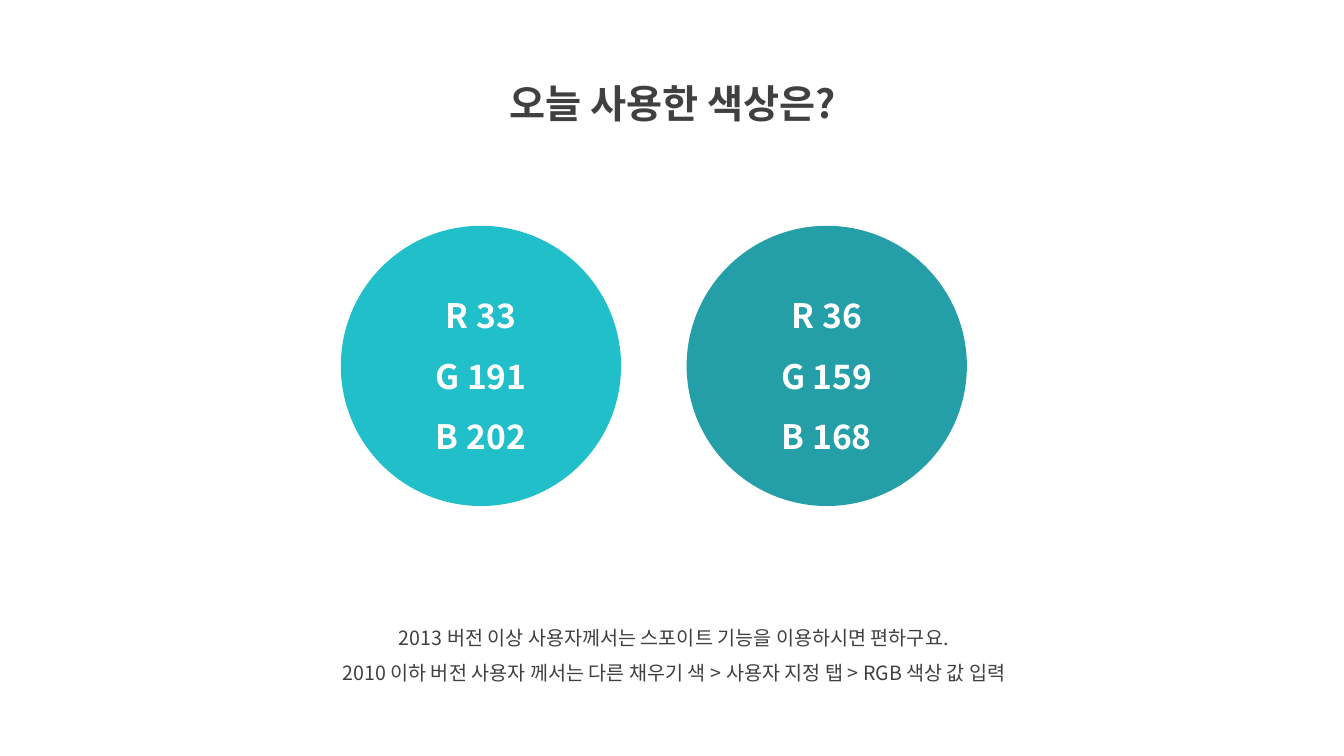
from dataclasses import dataclass

from lxml import etree
from pptx import Presentation
from pptx.dml.color import RGBColor
from pptx.enum import shapes, text
from pptx.oxml.ns import qn
from pptx.util import Inches, Pt


@dataclass(frozen=True)
class Theme:
    font: str = "Noto Sans CJK KR"
    ink: RGBColor = RGBColor(64, 64, 64)
    white: RGBColor = RGBColor(255, 255, 255)
    swatches: tuple = (RGBColor(33, 191, 202), RGBColor(36, 159, 168))
    title: int = 28
    value: int = 24
    note: int = 14
    spacing: float = 1.5


THEME = Theme()
TITLE = "오늘 사용한 색상은?"
NOTES = (
    "2013 버전 이상 사용자께서는 스포이트 기능을 이용하시면 편하구요.",
    "2010 이하 버전 사용자 께서는 다른 채우기 색 > 사용자 지정 탭 > RGB 색상 값 입력",
)


def write_lines(tf, lines, size, color, bold=False):
    """Fill a text frame with centred lines, one paragraph each."""
    tf.word_wrap = True
    style = {"size": Pt(size), "bold": bold, "name": THEME.font}
    for i, line in enumerate(lines):
        p = tf.paragraphs[0] if i == 0 else tf.add_paragraph()
        p.alignment = text.PP_ALIGN.CENTER
        p.line_spacing = THEME.spacing
        r = p.add_run()
        r.text = line
        for key, value in style.items():
            setattr(r.font, key, value)
        r.font.color.rgb = color
        ea = etree.SubElement(r._r.get_or_add_rPr(), qn("a:ea"))
        ea.set("typeface", THEME.font)


def add_text(slide, box, lines, size, bold=False):
    tf = slide.shapes.add_textbox(*map(Inches, box)).text_frame
    write_lines(tf, lines, size, THEME.ink, bold)
    tf.auto_size = text.MSO_AUTO_SIZE.SHAPE_TO_FIT_TEXT


def add_swatches(slide, box):
    """Spread one labelled circle per colour from edge to edge of the box."""
    left, top, width, size = box
    step = (width - size) / (len(THEME.swatches) - 1)
    for i, color in enumerate(THEME.swatches):
        place = (left + i * step, top, size, size)
        sp = slide.shapes.add_shape(shapes.MSO_SHAPE.OVAL, *map(Inches, place))
        sp.shadow.inherit = False
        sp.fill.solid()
        sp.fill.fore_color.rgb = color
        sp.line.fill.background()
        tf = sp.text_frame
        tf.vertical_anchor = text.MSO_ANCHOR.MIDDLE
        lines = [f"{name} {value}" for name, value in zip("RGB", color)]
        write_lines(tf, lines, THEME.value, THEME.white, bold=True)


def build_color_slide(prs):
    slide = prs.slides.add_slide(prs.slide_layouts[6])
    add_text(slide, (4.36, 0.5, 4.63, 0.72), [TITLE], THEME.title, bold=True)
    add_text(slide, (2.69, 6.04, 7.99, 0.81), NOTES, THEME.note)
    add_swatches(slide, (3.38, 2.24, 6.21, 2.78))


def main():
    prs = Presentation()
    prs.slide_width, prs.slide_height = Inches(13.33), Inches(7.5)
    build_color_slide(prs)
    prs.save("out.pptx")


if __name__ == "__main__":
    main()
